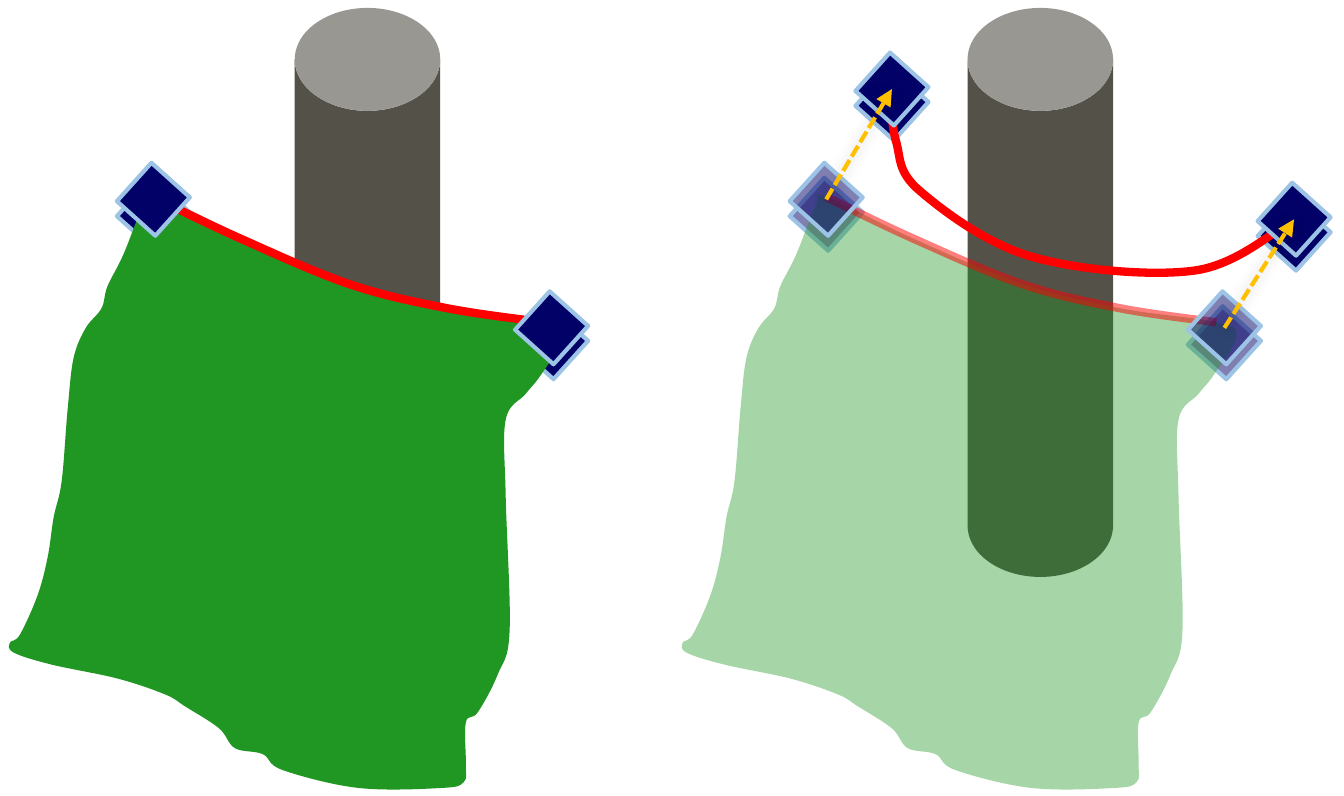
import pptx
import pptx.util
import pptx.dml.color
import pptx.enum.dml
import pptx.enum.shapes
import pptx.oxml.ns
from lxml import etree

Pt = pptx.util.Pt
qn = pptx.oxml.ns.qn
SHAPE = pptx.enum.shapes.MSO_SHAPE

COLORS = {"marker": "010167", "marker line": "9DC3E6", "pole": "545248",
          "curtain": "219723", "edge": "FF0000", "arrow": "FFC000", "shadow": "000000"}

# Points that the smooth outlines run through, on a grid of 0.72 pt
GRID = 0.72
EDGE = [(77, 99), (121, 120), (176, 143), (225, 155), (273, 162)]
MOVED_EDGE = [(447, 45), (450, 71), (462, 96), (518, 129), (600, 136), (649, 111)]
LEFT_SIDE = [(72, 103), (62, 128), (54, 144), (51, 155), (43, 165), (37, 180), (34, 206),
             (31, 242), (27, 260), (24, 280), (19, 299), (10, 319), (5, 323)]
HEM = [(7, 328), (26, 334), (59, 341), (83, 349), (93, 355), (110, 366), (118, 376),
       (132, 379), (142, 387), (180, 396), (222, 396), (233, 393)]
RIGHT_SIDE = [(234, 384), (234, 363), (240, 358), (250, 339), (256, 317), (254, 249),
              (254, 211), (264, 198), (272, 188), (283, 169)]
CURTAIN = LEFT_SIDE + HEM + RIGHT_SIDE + EDGE[::-1]

# Places in points
PANEL_STEP = 243.3
MARKER_SIZE, MARKER_DROP = 18.7, 5.4
MARKERS = [(46.1, 62.8), (190.1, 109.3)]
MOVED_MARKERS = [(313.2, 22.9), (458.6, 70)]
POLE = (106.6, 2.9, 52.6, 205.9)


def paint(color_format, name, alpha=None):
    color_format.rgb = pptx.dml.color.RGBColor.from_string(COLORS[name])
    if alpha:
        element = color_format._xFill.find(qn("a:srgbClr"))
        etree.SubElement(element, qn("a:alpha"), val=str(alpha * 1000))


def style(shape, fill=None, line=None, width=0, alpha=None, line_alpha=None):
    shape.shadow.inherit = False
    if fill:
        shape.fill.solid()
        paint(shape.fill.fore_color, fill, alpha)
    else:
        shape.fill.background()
    if line:
        shape.line.width = Pt(width)
        shape.line.fill.solid()
        paint(shape.line.fill.fore_color, line, line_alpha)
    else:
        shape.line.fill.background()


def add_markers(shapes, places, shift=0, drop=0, alpha=None):
    for left, top in places:
        marker = shapes.add_shape(SHAPE.RECTANGLE, Pt(left + shift), Pt(top + drop),
                                  Pt(MARKER_SIZE), Pt(MARKER_SIZE))
        marker.rotation = 42
        style(marker, "marker", "marker line", 1.5, alpha)


def add_pole(shapes, shift=0):
    left, top, width, height = POLE
    pole = shapes.add_shape(SHAPE.CAN, Pt(left + shift), Pt(top), Pt(width), Pt(height))
    pole.adjustments[0] = 0.708
    style(pole, "pole")


def control_points(points, close):
    """Two handles and an end for each stretch of a smooth line through the points."""
    last = len(points) - 1
    controls = []
    for index in range(last + close):
        near = [index - 1, index, index + 1, index + 2]
        if close:
            near = [number % len(points) for number in near]
        else:
            near = [min(max(number, 0), last) for number in near]
        before, start, end, after = (points[number] for number in near)
        controls.append(tuple(s + (e - b) / 6 for b, s, e in zip(before, start, end)))
        controls.append(tuple(e - (a - s) / 6 for s, e, a in zip(start, end, after)))
        controls.append(end)
    return controls


def add_outline(shapes, points, shift=0, close=False):
    points = [(Pt(x * GRID), Pt(y * GRID)) for x, y in points]
    builder = shapes.build_freeform(*points[0])
    builder.add_line_segments(control_points(points, close), close=close)
    shape = builder.convert_to_shape(Pt(shift), 0)
    segments = list(shape._element.iter(qn("a:lnTo")))
    for first in range(0, len(segments), 3):
        curve = etree.Element(qn("a:cubicBezTo"))
        segments[first].addprevious(curve)
        for segment in segments[first:first + 3]:
            curve.append(segment[0])
            segment.getparent().remove(segment)
    return shape


def add_cloth(shapes, shift=0, alpha=None, line_alpha=None):
    style(add_outline(shapes, CURTAIN, shift, close=True), "curtain", alpha=alpha)
    style(add_outline(shapes, EDGE, shift), line="edge", width=3, line_alpha=line_alpha)


def add_arrow(shapes, start, end):
    center = MARKER_SIZE / 2
    arrow = shapes.add_connector(pptx.enum.shapes.MSO_CONNECTOR.STRAIGHT,
                                 *(Pt(value + center) for value in start + end))
    arrow.line.width = Pt(1.5)
    arrow.line.fill.solid()
    paint(arrow.line.fill.fore_color, "arrow")
    arrow.line.dash_style = pptx.enum.dml.MSO_LINE.SQUARE_DOT
    properties = arrow._element.spPr
    etree.SubElement(properties.find(qn("a:ln")), qn("a:tailEnd"), type="triangle")
    effects = etree.SubElement(properties, qn("a:effectLst"))
    shadow = etree.SubElement(effects, qn("a:outerShdw"), blurRad=str(int(Pt(5))),
                              algn="ctr", rotWithShape="0")
    color = etree.SubElement(shadow, qn("a:srgbClr"), val=COLORS["shadow"])
    etree.SubElement(color, qn("a:alpha"), val="20000")


presentation = pptx.Presentation()
presentation.slide_width, presentation.slide_height = Pt(486), Pt(288)
slide = presentation.slides.add_slide(presentation.slide_layouts[6])
shapes = slide.shapes

# Left panel: curtain in front of the pole
add_pole(shapes)
add_markers(shapes, MARKERS, drop=MARKER_DROP)
add_cloth(shapes)
add_markers(shapes, MARKERS)

# Right panel: faded start position
add_markers(shapes, MARKERS, PANEL_STEP, MARKER_DROP, alpha=50)
group = shapes.add_group_shape()
add_pole(group.shapes, PANEL_STEP)
add_cloth(group.shapes, PANEL_STEP, alpha=40, line_alpha=50)
add_markers(shapes, MARKERS, PANEL_STEP, alpha=50)

# Right panel: moved edge, markers and arrows
add_markers(shapes, MOVED_MARKERS, drop=MARKER_DROP)
style(add_outline(shapes, MOVED_EDGE), line="edge", width=3)
for (left, top), moved in zip(MARKERS, MOVED_MARKERS):
    add_markers(shapes, [moved])
    add_arrow(shapes, (left + PANEL_STEP, top), moved)

presentation.save("out.pptx")
